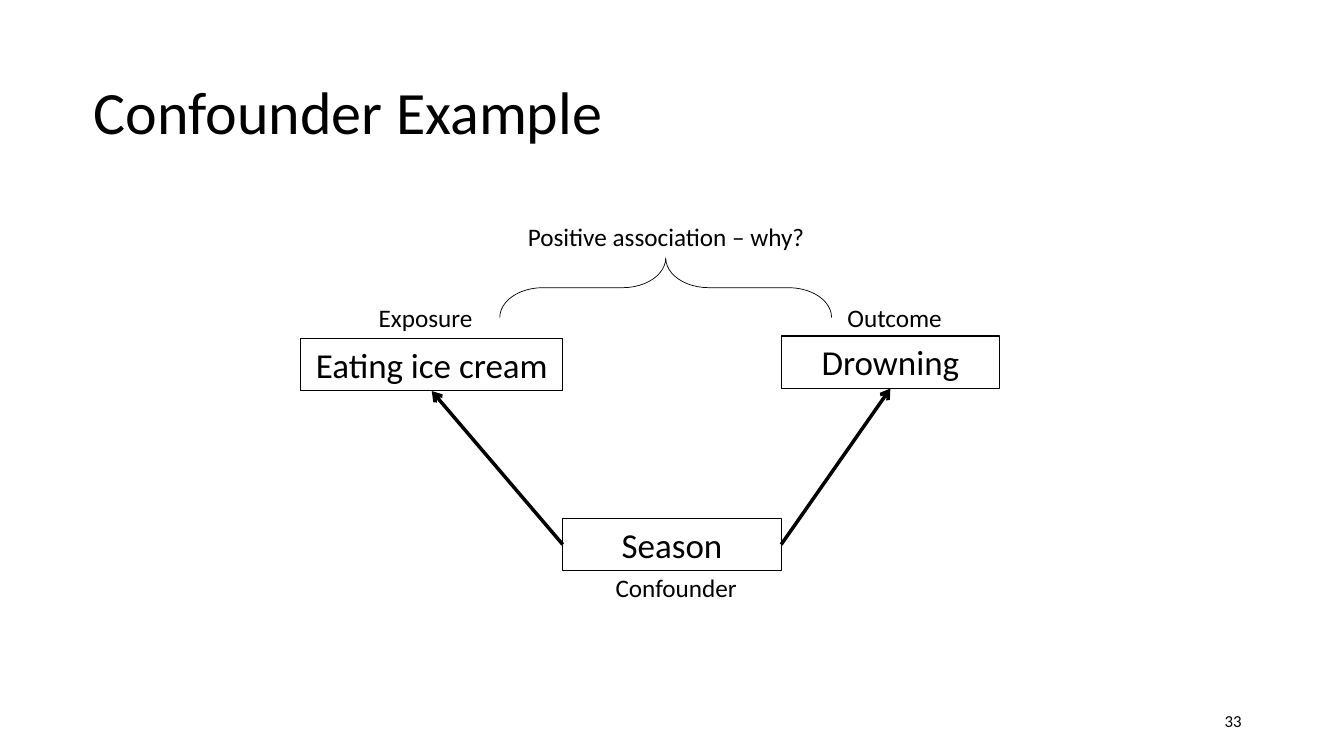
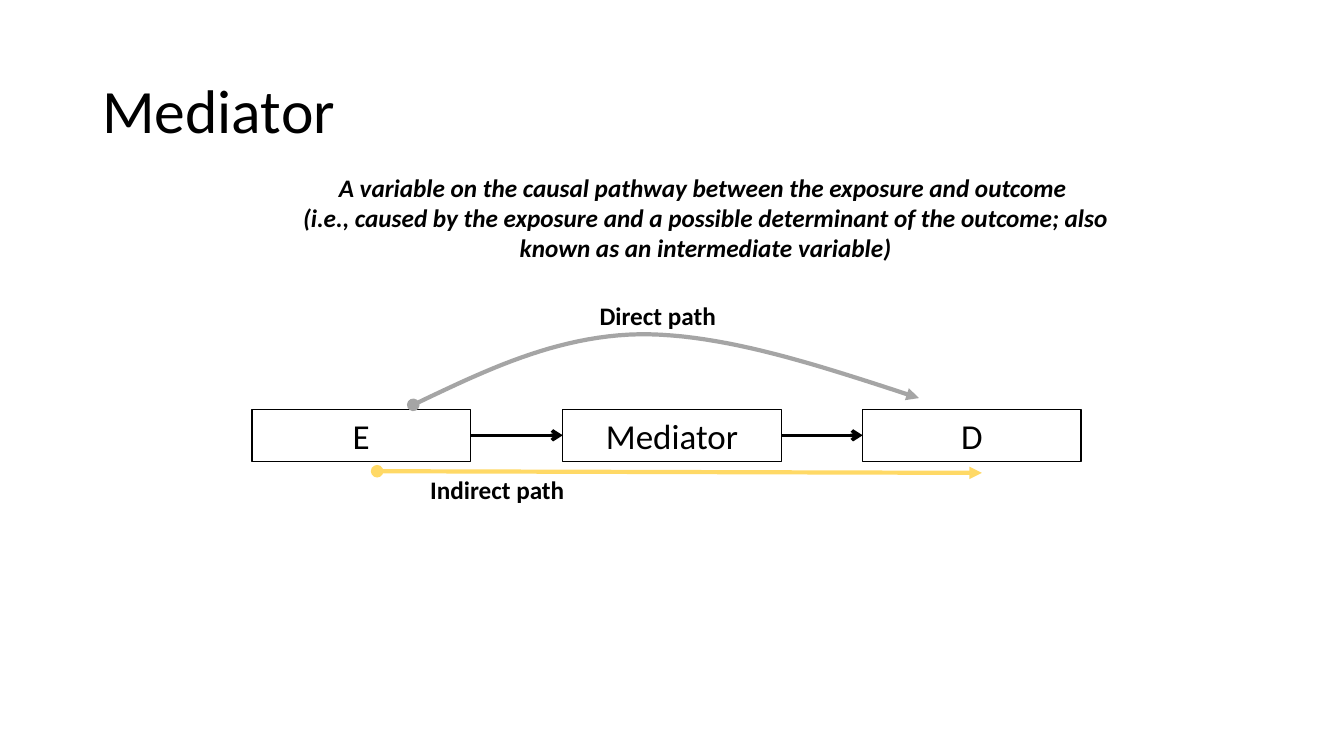
from dataclasses import dataclass

from lxml import etree
from pptx import Presentation
from pptx import util as u
from pptx.dml.color import RGBColor
from pptx.enum import shapes, text
from pptx.oxml import ns

COLUMNS, ROWS = 160, 90
CELL = u.Inches(1) // 12
FONT = "Calibri"
BLACK = RGBColor(0x00, 0x00, 0x00)
GREY = RGBColor(0xA5, 0xA5, 0xA5)
YELLOW = RGBColor(0xFF, 0xD9, 0x66)
ALIGN = text.PP_ALIGN
ANCHOR = text.MSO_ANCHOR
NODE_WIDTH, NODE_HEIGHT = 26, 6.25
LABEL_HEIGHT = 4.8
CURVE_STEPS = 24

Point = tuple[float, float]


@dataclass(frozen=True)
class Style:
    size: float
    align: ALIGN = ALIGN.LEFT
    anchor: ANCHOR = ANCHOR.TOP
    bold: bool = False
    italic: bool = False
    wrap: bool = True
    spacing: float = 1.0


@dataclass(frozen=True)
class Label:
    words: str
    left: float
    top: float
    width: float
    style: Style
    height: float = LABEL_HEIGHT


@dataclass(frozen=True)
class Node:
    words: str
    left: float
    top: float
    width: float = NODE_WIDTH

    @property
    def west(self) -> Point:
        return self.left, self.top + NODE_HEIGHT / 2

    @property
    def east(self) -> Point:
        return self.left + self.width, self.top + NODE_HEIGHT / 2

    @property
    def south(self) -> Point:
        return self.left + self.width / 2, self.top + NODE_HEIGHT


PLAIN = Style(18, wrap=False)
CENTRED = Style(18, ALIGN.CENTER, wrap=False)
PATH_NAME = Style(18, ALIGN.CENTER, bold=True)
DEFINITION = Style(18, ALIGN.CENTER, bold=True, italic=True)
NODE_TEXT = Style(25, ALIGN.CENTER)
PAGE_NUMBER = Style(12, ALIGN.RIGHT, ANCHOR.MIDDLE)


def grid(*cells: float) -> list[int]:
    return [round(cell * CELL) for cell in cells]


def write(frame, words: str, style: Style) -> None:
    frame.text = words
    frame.word_wrap = style.wrap
    frame.vertical_anchor = style.anchor
    for para in frame.paragraphs:
        para.alignment = style.align
        para.line_spacing = style.spacing
        for span in para.runs:
            span.font.name = FONT
            span.font.size = u.Pt(style.size)
            span.font.bold = style.bold
            span.font.italic = style.italic
            span.font.color.rgb = BLACK


def add_label(page, label: Label) -> None:
    box = page.shapes.add_textbox(*grid(label.left, label.top, label.width, label.height))
    write(box.text_frame, label.words, label.style)


def add_title(page, words: str, left: float, top: float, size: float, spacing: float) -> None:
    style = Style(size, anchor=ANCHOR.MIDDLE, spacing=spacing)
    add_label(page, Label(words, left, top, 138, style, 16))


def outline(shape, color: RGBColor, width: float) -> None:
    shape.line.color.rgb = color
    shape.line.width = u.Pt(width)


def hollow(shape, color: RGBColor, width: float) -> None:
    shape.shadow.inherit = False
    shape.fill.background()
    outline(shape, color, width)


def add_node(page, node: Node) -> None:
    box = page.shapes.add_shape(
        shapes.MSO_SHAPE.RECTANGLE, *grid(node.left, node.top, node.width, NODE_HEIGHT)
    )
    hollow(box, BLACK, 0.75)
    write(box.text_frame, node.words, NODE_TEXT)


def add_ends(shape, head: str, tail: str) -> None:
    line = shape.line._get_or_add_ln()
    for tag, kind in (("a:headEnd", head), ("a:tailEnd", tail)):
        etree.SubElement(line, ns.qn(tag)).set("type", kind)


def add_arrow(page, start: Point, end: Point, color: RGBColor = BLACK,
              width: float = 2.5, head: str = "none", tail: str = "arrow") -> None:
    arrow = page.shapes.add_connector(shapes.MSO_CONNECTOR.STRAIGHT, *grid(*start, *end))
    outline(arrow, color, width)
    add_ends(arrow, head, tail)
    etree.SubElement(arrow._element.spPr, ns.qn("a:effectLst"))


def bezier(controls: list[Point], share: float) -> Point:
    while len(controls) > 1:
        controls = [
            (a[0] + (b[0] - a[0]) * share, a[1] + (b[1] - a[1]) * share)
            for a, b in zip(controls, controls[1:])
        ]
    return controls[0]


def add_curve(page, points: list[Point], color: RGBColor) -> None:
    route = [
        grid(*bezier(points[first:first + 4], step / CURVE_STEPS))
        for first in range(0, len(points) - 1, 3)
        for step in range(1, CURVE_STEPS + 1)
    ]
    builder = page.shapes.build_freeform(*grid(*points[0]))
    builder.add_line_segments(route, close=False)
    curve = builder.convert_to_shape()
    hollow(curve, color, 3)
    add_ends(curve, "oval", "triangle")


def add_brace(page) -> None:
    brace = page.shapes.add_shape(shapes.MSO_SHAPE.LEFT_BRACE, *grid(75.7, 14.5, 7.1, 39.5))
    brace.rotation = 90
    brace.adjustments[0] = 0.72
    hollow(brace, BLACK, 0.5)


def build_confounder(page) -> None:
    add_title(page, "Confounder Example", 10, 5.1, 42.9, 1.0)
    exposure = Node("Eating ice cream", 35.8, 40.3, 31.2)
    outcome = Node("Drowning", 93, 40)
    season = Node("Season", 67, 61.7)
    for node in (exposure, outcome, season):
        add_node(page, node)
    add_arrow(page, season.east, outcome.south)
    add_arrow(page, season.west, exposure.south)
    add_brace(page)
    for label in (
        Label("Positive association – why?", 61.4, 25.8, 35.8, CENTRED),
        Label("Exposure", 43.9, 35.4, 13.7, PLAIN),
        Label("Outcome", 99.7, 35.4, 13.8, PLAIN),
        Label("Confounder", 72.1, 67.6, 17, PLAIN),
        Label("33", 113, 83.4, 36, PAGE_NUMBER),
    ):
        add_label(page, label)


def build_mediator(page) -> None:
    add_title(page, "Mediator", 11, 5.5, 44, 0.9)
    nodes = [
        Node(words, left, 48.7)
        for words, left in (("E", 30), ("Mediator", 67), ("D", 102.7))
    ]
    for node in nodes:
        add_node(page, node)
    for source, target in zip(nodes, nodes[1:]):
        add_arrow(page, source.east, target.west)
    add_curve(page, [(49.2, 48.2), (57.6, 44.2), (66.1, 40), (76.1, 39.8),
                     (86.2, 39.7), (97.8, 43.6), (109.4, 47.4)], GREY)
    add_arrow(page, (44.9, 56.1), (116.9, 56.3), YELLOW, 3, "oval", "triangle")
    for label in (
        Label("A variable on the causal pathway between the exposure and outcome \v"
              "(i.e., caused by the exposure and a possible determinant of the outcome; "
              "also known as an intermediate variable)", 34, 19.9, 100, DEFINITION, 12.1),
        Label("Direct path", 67.9, 35.2, 20.8, PATH_NAME),
        Label("Indirect path", 48.8, 55.9, 20.8, PATH_NAME),
    ):
        add_label(page, label)


def main() -> None:
    deck = Presentation()
    deck.slide_width, deck.slide_height = grid(COLUMNS, ROWS)
    blank = deck.slide_layouts[6]
    for build in (build_confounder, build_mediator):
        build(deck.slides.add_slide(blank))
    deck.save("out.pptx")


if __name__ == "__main__":
    main()
